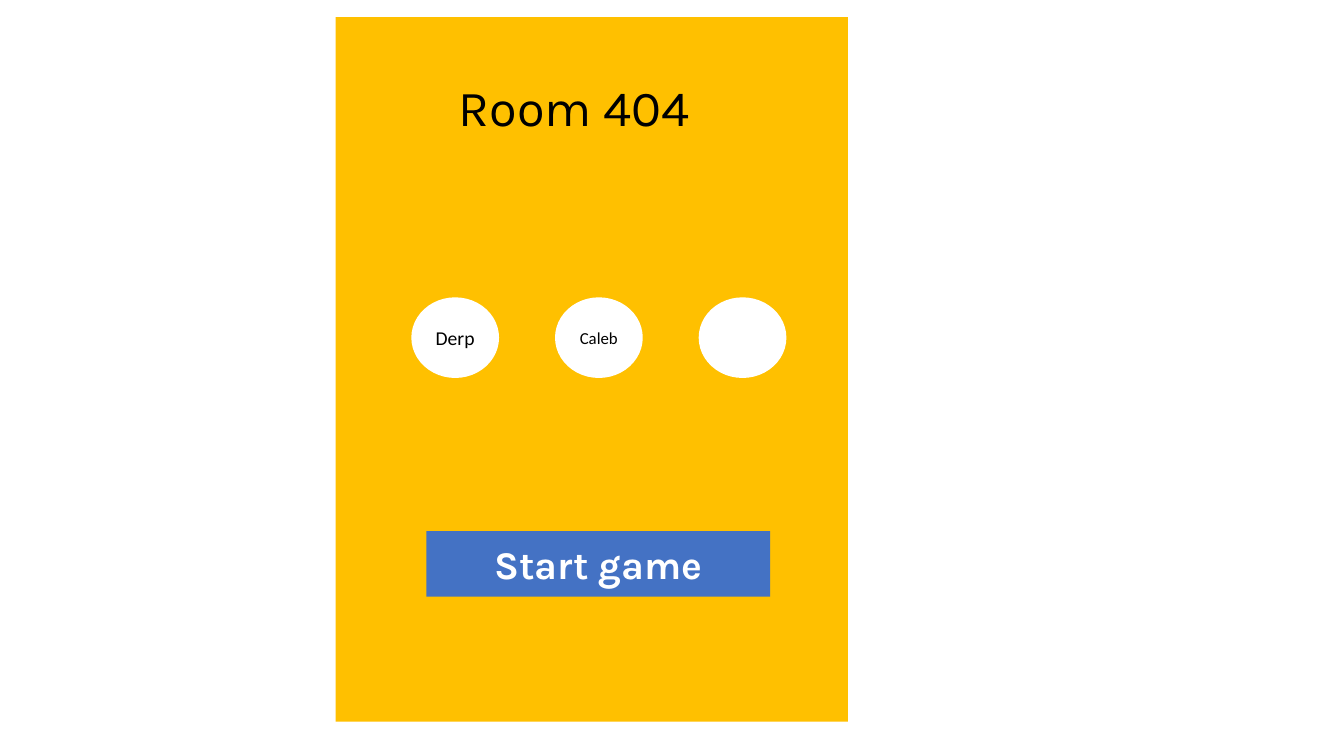
from pptx import Presentation
from pptx.dml.color import RGBColor
from pptx.enum.shapes import MSO_SHAPE
from pptx.enum.text import MSO_ANCHOR, MSO_AUTO_SIZE, PP_ALIGN
from pptx.util import Inches, Pt

# Content
TITLE = "Room 404"
PLAYERS = [("Derp", 14), ("Caleb", 12), ("", 12)]  # name, text size
BUTTON = "Start game"

COLORS = {"panel": "FFC000", "seat": "FFFFFF", "button": "4472C4",
          "ink": "000000", "button_text": "FFFFFF"}

# Layout in inches: left, top, width, height
PANEL_BOX = (3.33, 0.17, 5.08, 6.99)
TITLE_BOX = (4.45, 0.71, 2.98, 0.71)
FIRST_SEAT = (4.08, 2.95, 0.87, 0.8)
SEAT_STEP = 1.425
BUTTON_BOX = (4.23, 5.27, 3.41, 0.65)

prs = Presentation()
prs.slide_width, prs.slide_height = Inches(13.33), Inches(7.5)
slide = prs.slides.add_slide(prs.slide_layouts[5])


def write(frame, text, size, font, color, align, anchor, bold=False):
    frame.word_wrap = True
    frame.auto_size = MSO_AUTO_SIZE.NONE
    frame.vertical_anchor = anchor
    paragraph = frame.paragraphs[0]
    paragraph.alignment = align
    run = paragraph.add_run()
    run.text = text
    run.font.size, run.font.name, run.font.bold = Pt(size), font, bold
    run.font.color.rgb = RGBColor.from_string(COLORS[color])


def add_block(kind, box, fill, text="", size=12, font="Calibri",
              color="ink", bold=False):
    shape = slide.shapes.add_shape(kind, *map(Inches, box))
    shape.shadow.inherit = False
    shape.fill.solid()
    shape.fill.fore_color.rgb = RGBColor.from_string(COLORS[fill])
    shape.line.fill.background()
    if text:
        write(shape.text_frame, text, size, font, color,
              PP_ALIGN.CENTER, MSO_ANCHOR.MIDDLE, bold)
    return shape


# Panel, with the title raised in front of it
panel = add_block(MSO_SHAPE.RECTANGLE, PANEL_BOX, "panel")
title = slide.shapes.title
panel.element.addnext(title.element)
title.left, title.top, title.width, title.height = map(Inches, TITLE_BOX)
write(title.text_frame, TITLE, 36, "Karla", "ink", PP_ALIGN.LEFT, MSO_ANCHOR.TOP)

# Player seats
left, top, width, height = FIRST_SEAT
for i, (name, size) in enumerate(PLAYERS):
    add_block(MSO_SHAPE.OVAL, (left + i * SEAT_STEP, top, width, height),
              "seat", name, size)

# Start button
add_block(MSO_SHAPE.RECTANGLE, BUTTON_BOX, "button", BUTTON, 28, "Karla",
          "button_text", bold=True)

prs.save("out.pptx")
